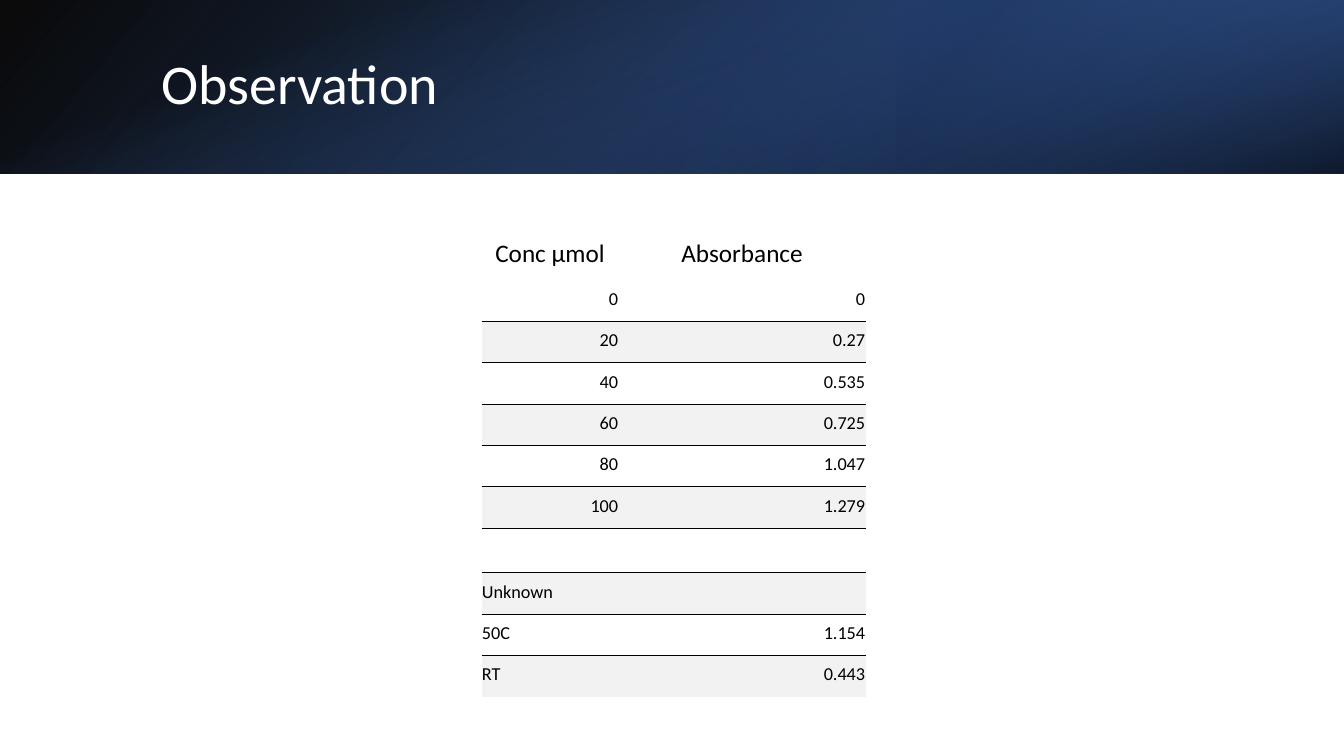
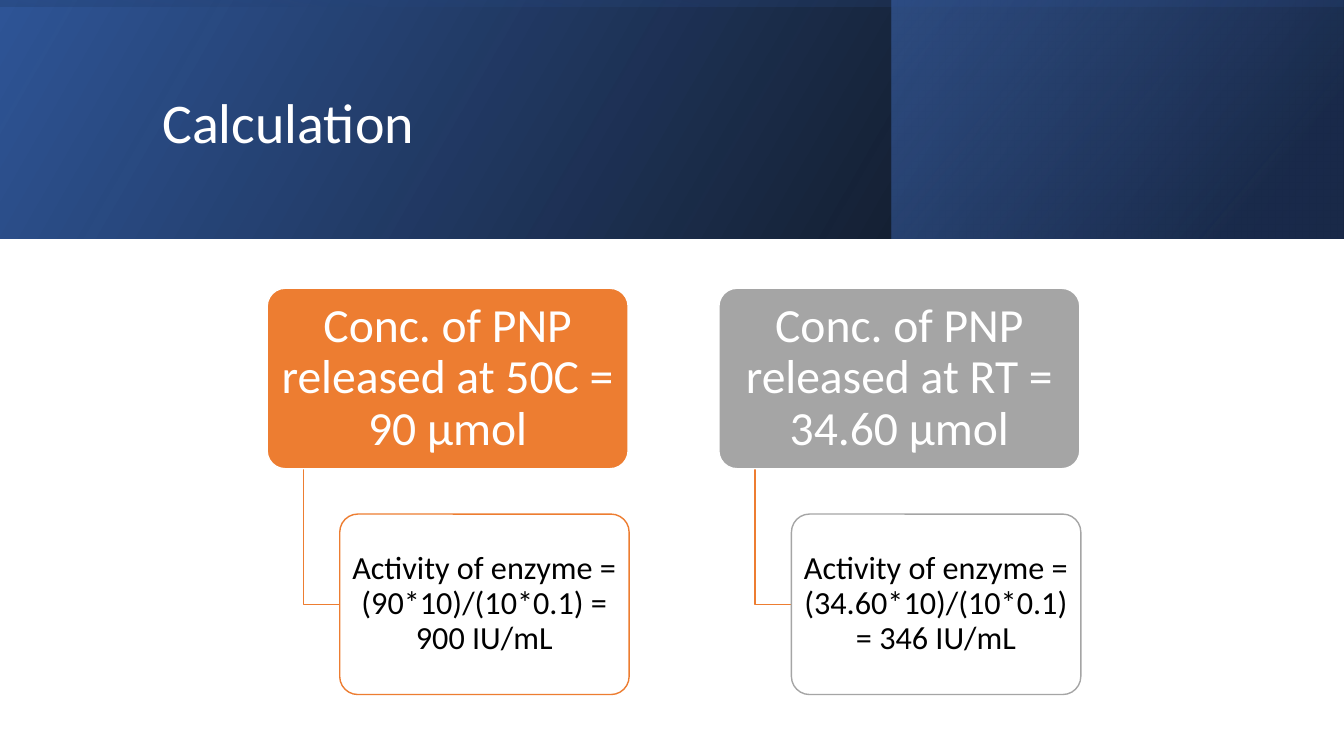
"""Build the enzyme assay slides: observed absorbances and calculated activity."""
from lxml.etree import SubElement
from pptx import Presentation
from pptx.dml.color import RGBColor
from pptx.enum.shapes import MSO_SHAPE as SHAPE
from pptx.enum.text import MSO_ANCHOR as ANCHOR, MSO_AUTO_SIZE as AUTO_SIZE, PP_ALIGN as ALIGN
from pptx.oxml import parse_xml
from pptx.oxml.ns import nsdecls, qn
from pptx.util import Inches, Pt

BLACK = RGBColor(0x00, 0x00, 0x00)
WHITE = RGBColor(0xFF, 0xFF, 0xFF)
NAVY = RGBColor(0x20, 0x38, 0x64)
DEEP_BLUE = RGBColor(0x2F, 0x55, 0x97)
BLUE = RGBColor(0x44, 0x72, 0xC4)
ORANGE = RGBColor(0xED, 0x7D, 0x31)
GRAY = RGBColor(0xA5, 0xA5, 0xA5)
STRIPE = RGBColor(0xF2, 0xF2, 0xF2)
FONT = "Calibri"
WIDTH = 13.33
NO_STYLE = "{2D5ABB26-0587-4C30-8999-92F81FD0307C}"


def write(frame, text, size, color, align, spacing=None):
    frame.text = text
    paragraph = frame.paragraphs[0]
    paragraph.alignment = align
    paragraph.line_spacing = spacing
    font = paragraph.runs[0].font
    font.name, font.size, font.color.rgb = FONT, Pt(size), color


def add_header(title_text, title_box, bands):
    slide = prs.slides.add_slide(prs.slide_layouts[5])
    for box, rotation, flipped, angle, stops in bands:
        band = slide.shapes.add_shape(SHAPE.RECTANGLE, *map(Inches, box))
        band.shadow.inherit = False
        band.line.fill.background()
        band.rotation = rotation
        properties = band._element.spPr
        if flipped:
            properties.xfrm.set("flipH", "1")
        band.fill.gradient()
        band.fill.gradient_angle = 360 - angle
        for stop, (position, color, _) in zip(band.fill.gradient_stops, stops):
            stop.position = position / 100
            stop.color.rgb = color
        for tint, (_, _, opacity) in zip(properties.iter(qn("a:srgbClr")), stops):
            SubElement(tint, qn("a:alpha")).set("val", str(opacity * 1000))
    title = slide.shapes.title
    title.left, title.top, title.width, title.height = map(Inches, title_box)
    title.text_frame.auto_size = AUTO_SIZE.NONE
    title.text_frame.vertical_anchor = ANCHOR.MIDDLE
    write(title.text_frame, title_text, 40, WHITE, ALIGN.LEFT, 0.9)
    slide.shapes._spTree.append(title._element)
    return slide


prs = Presentation()
prs.slide_width, prs.slide_height = Inches(WIDTH), Inches(7.5)

depth = 1.72
middle = (WIDTH - depth) / 2
observation = add_header("Observation", (1.5, 0.38, 10.98, 0.96), [
    ((0, 0, WIDTH, depth), 0, True, 140, [(0, BLACK, 96), (100, DEEP_BLUE, 100)]),
    ((8.89, 0, 4.44, depth), 180, True, 320, [(19, NAVY, 68), (100, BLUE, 79)]),
    ((middle, -middle, depth, WIDTH), 90, False, 340, [(23, BLUE, 0), (99, BLACK, 74)]),
])

readings = [
    ("Conc μmol", "Absorbance"),
    ("0", "0"), ("20", "0.27"), ("40", "0.535"),
    ("60", "0.725"), ("80", "1.047"), ("100", "1.279"),
    ("", ""), ("Unknown", ""), ("50C", "1.154"), ("RT", "0.443"),
]
row_heights = [0.47] + [0.41] * 6 + [0.44] + [0.41] * 3
frame = observation.shapes.add_table(
    len(readings), 2, Inches(4.78), Inches(2.31), Inches(3.81), Inches(sum(row_heights)))
absorbance = frame.table
absorbance.first_row = absorbance.horz_banding = False
absorbance._tbl.tblPr.find(qn("a:tableStyleId")).text = NO_STYLE
absorbance.columns[0].width, absorbance.columns[1].width = Inches(1.36), Inches(2.45)
last = len(readings) - 1
for i, (reading, height) in enumerate(zip(readings, row_heights)):
    absorbance.rows[i].height = Inches(height)
    striped = i > 0 and i % 2 == 0
    for j, value in enumerate(reading):
        cell = absorbance.cell(i, j)
        cell.vertical_anchor = ANCHOR.BOTTOM
        cell.margin_left, cell.margin_right = 0, Inches(0.01)
        cell.margin_top, cell.margin_bottom = Inches(0.03 if i else 0.02), Inches(0.11)
        if striped:
            cell.fill.solid()
            cell.fill.fore_color.rgb = STRIPE
        else:
            cell.fill.background()
        if 0 < i <= last:
            edge = "lnT" if striped else "lnB"
            cell._tc.get_or_add_tcPr().insert(0, parse_xml(
                f'<a:{edge} {nsdecls("a")} w="9525"><a:solidFill>'
                f'<a:srgbClr val="{BLACK}"/></a:solidFill></a:{edge}>'))
        if value:
            label = j == 0 and i > 7
            align = ALIGN.CENTER if i == 0 else ALIGN.LEFT if label else ALIGN.RIGHT
            write(cell.text_frame, value, 13 if i else 18, BLACK, align)
absorbance.cell(8, 0).merge(absorbance.cell(8, 1))

depth = 2.37
middle = (WIDTH - depth) / 2
calculation = add_header("Calculation", (1.51, 0.38, 10.63, 1.72), [
    ((0, 0, WIDTH, depth), 0, True, 330, [(0, BLACK, 96), (100, DEEP_BLUE, 100)]),
    ((8.84, 0, 4.48, depth), 0, True, 320, [(19, NAVY, 68), (100, BLUE, 48)]),
    ((middle, -middle, depth, WIDTH), 270, True, 350, [(23, DEEP_BLUE, 16), (99, BLACK, 45)]),
])

results = [
    (ORANGE, "Conc. of PNP released at 50C = 90 μmol",
     "Activity of enzyme = (90*10)/(10*0.1) = 900 IU/mL"),
    (GRAY, "Conc. of PNP released at RT = 34.60 μmol",
     "Activity of enzyme = (34.60*10)/(10*0.1) = 346 IU/mL"),
]
box_height = 1.79
for i, (accent, concentration, activity) in enumerate(results):
    left = 2.65 + i * 4.48
    elbow_left, activity_left = left + 0.36, left + 0.72
    elbow = calculation.shapes.build_freeform(Inches(elbow_left), Inches(4.65))
    elbow.add_line_segments(
        [(Inches(elbow_left), Inches(6)), (Inches(activity_left), Inches(6))], close=False)
    branch = elbow.convert_to_shape()
    branch.shadow.inherit = False
    branch.fill.background()
    branch.line.color.rgb, branch.line.width = ORANGE, Pt(1)
    for x, y, width, fill, outline, text, size, color, inset in [
        (left, 2.86, 3.58, accent, WHITE, concentration, 34, WHITE, (0.07, 0.05)),
        (activity_left, 5.1, 2.87, WHITE, accent, activity, 23, BLACK, (0.05, 0.03)),
    ]:
        card = calculation.shapes.add_shape(
            SHAPE.ROUNDED_RECTANGLE, Inches(x), Inches(y), Inches(width), Inches(box_height))
        card.adjustments[0] = 0.1
        card.shadow.inherit = False
        card.fill.solid()
        card.fill.fore_color.rgb = fill
        card.line.color.rgb, card.line.width = outline, Pt(1)
        body = card.text_frame
        body.word_wrap = True
        body.vertical_anchor = ANCHOR.MIDDLE
        body.margin_left = body.margin_right = Inches(inset[0])
        body.margin_top = body.margin_bottom = Inches(inset[1])
        write(body, text, size, color, ALIGN.CENTER, 0.9)

prs.save("out.pptx")
